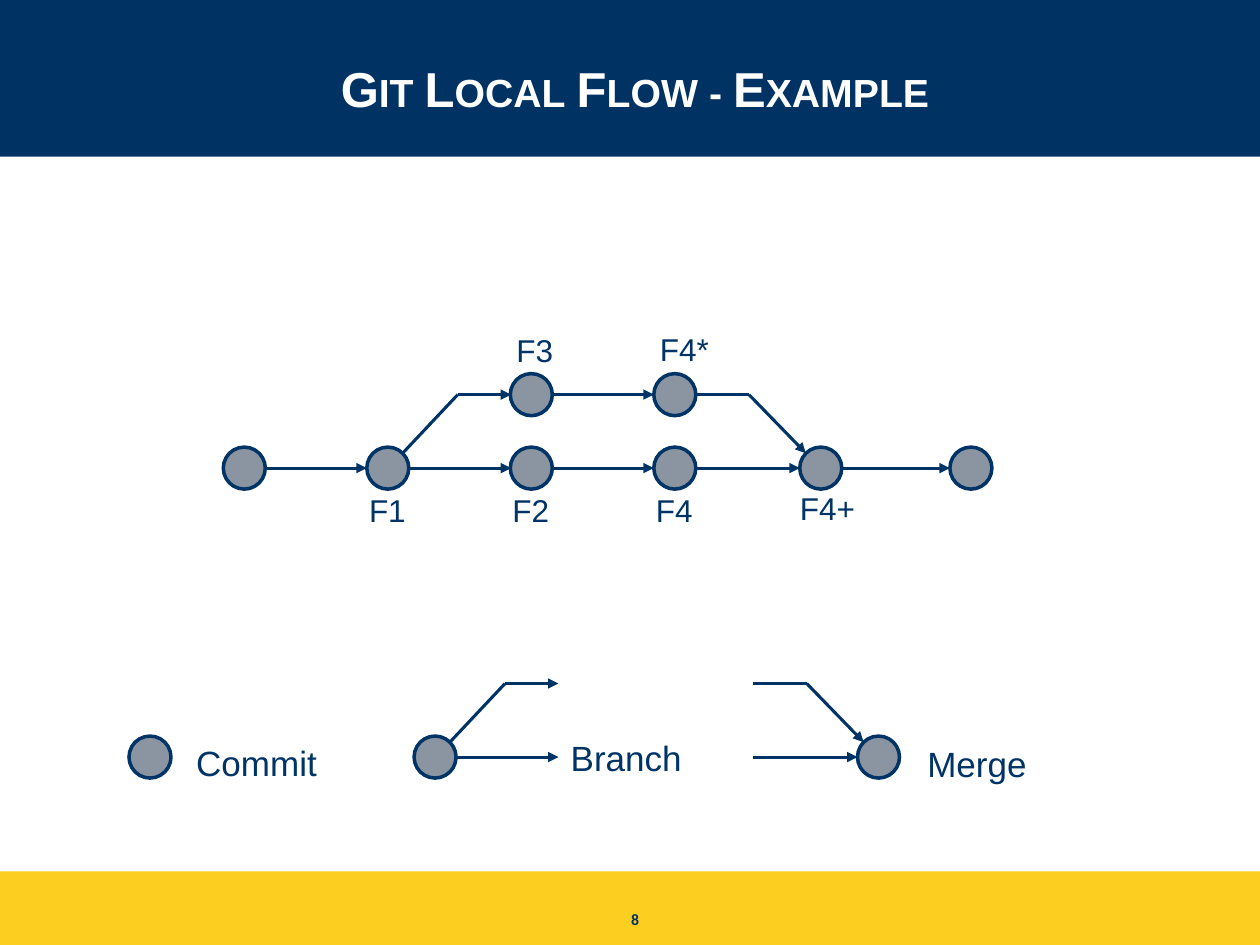
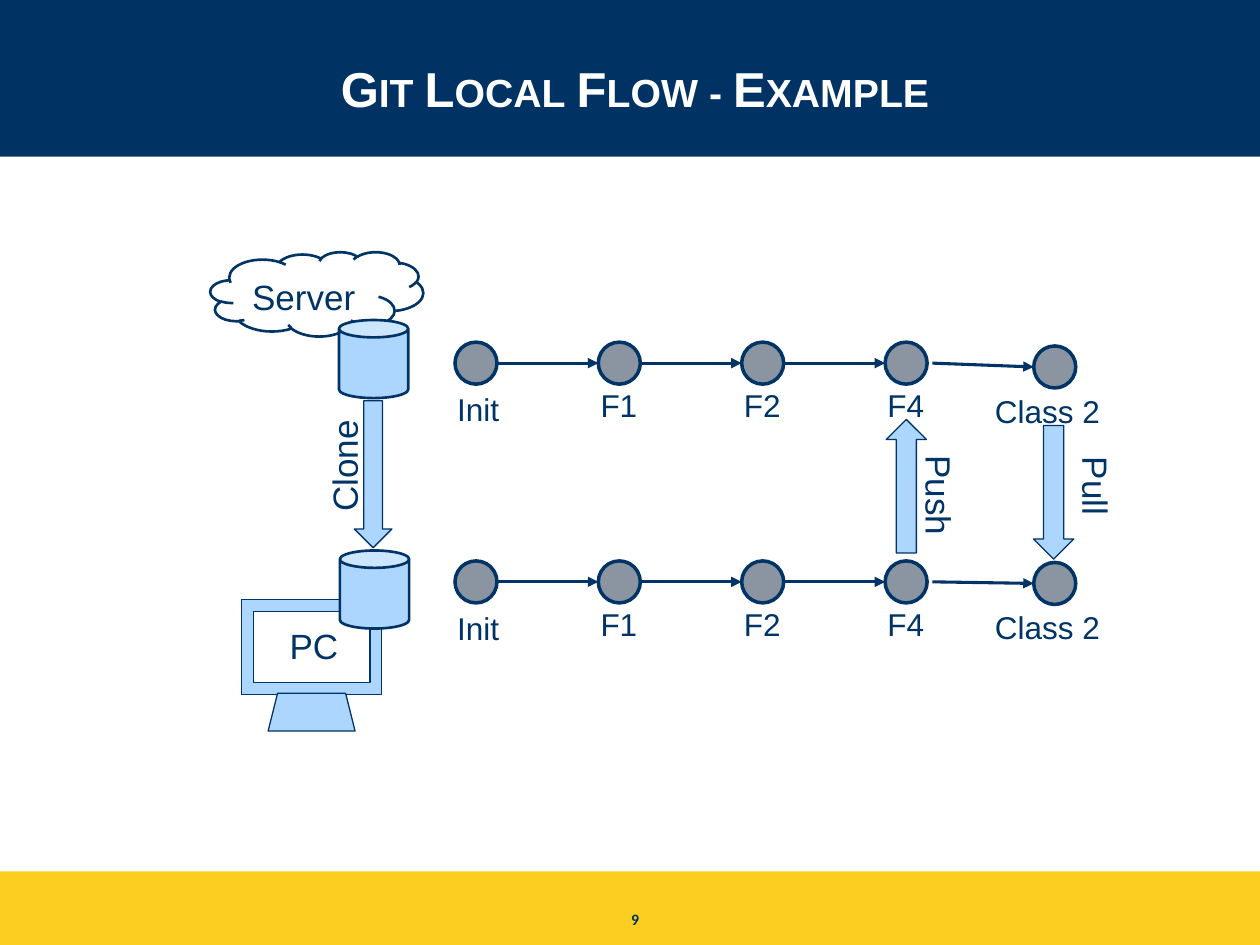
"""Build two slides on branching, cloning, pushing and pulling with Git."""
from dataclasses import dataclass
from itertools import pairwise

from lxml.etree import SubElement
from pptx import Presentation
from pptx.dml.color import RGBColor
from pptx.enum.shapes import MSO_CONNECTOR, MSO_SHAPE
from pptx.enum.text import MSO_ANCHOR, PP_ALIGN
from pptx.oxml.ns import qn
from pptx.shapes.autoshape import Shape
from pptx.slide import Slide
from pptx.text.text import _Run
from pptx.util import Pt

COLORS = {
    "header": "003264",
    "footer": "FBCE20",
    "title": "FFFFFF",
    "ink": "003366",
    "commit": "001933",
    "device": "ADD6FF",
}
RADIUS = 12
DIAGONAL = 8.5
BRANCH_RISE = 42
BEND = 40
REACH = 70.5


@dataclass(frozen=True)
class Box:
    left: float
    top: float
    width: float
    height: float


@dataclass(frozen=True)
class Label:
    text: str
    box: Box
    size: float = 20
    rotation: float = 0
    color: str = "ink"
    font: str = "Arial"
    bold: bool = False
    align: PP_ALIGN = PP_ALIGN.LEFT
    anchor: MSO_ANCHOR = MSO_ANCHOR.TOP


@dataclass(frozen=True)
class Commit:
    x: float
    y: float
    name: str = ""
    name_dx: float = -17.8
    name_dy: float = 9.8
    name_width: float = 36


@dataclass(frozen=True)
class Part:
    kind: MSO_SHAPE
    box: Box
    line_width: float = 0.75
    fill: str = "device"


def rgb(name: str) -> RGBColor:
    return RGBColor.from_string(COLORS[name])


def write(shape: Shape, label: Label) -> _Run:
    frame = shape.text_frame
    frame.word_wrap = True
    frame.vertical_anchor = label.anchor
    paragraph = frame.paragraphs[0]
    paragraph.alignment = label.align
    run = paragraph.add_run()
    run.text = label.text
    run.font.name = label.font
    run.font.size = Pt(label.size)
    run.font.bold = label.bold
    run.font.color.rgb = rgb(label.color)
    return run


def draw_label(slide: Slide, label: Label) -> _Run:
    box = label.box
    holder = slide.shapes.add_textbox(
        Pt(box.left), Pt(box.top), Pt(box.width), Pt(box.height))
    holder.rotation = label.rotation
    return write(holder, label)


def draw_part(slide: Slide, part: Part) -> Shape:
    box = part.box
    shape = slide.shapes.add_shape(
        part.kind, Pt(box.left), Pt(box.top), Pt(box.width), Pt(box.height))
    shape.shadow.inherit = False
    if part.fill:
        shape.fill.solid()
        shape.fill.fore_color.rgb = rgb(part.fill)
    else:
        shape.fill.background()
    if part.line_width:
        shape.line.color.rgb = rgb("ink")
        shape.line.width = Pt(part.line_width)
    else:
        shape.line.fill.background()
    return shape


def draw_commit(slide: Slide, commit: Commit) -> None:
    circle = draw_part(slide, Part(
        MSO_SHAPE.OVAL,
        Box(commit.x - RADIUS, commit.y - RADIUS, 2 * RADIUS, 2 * RADIUS),
        2, "commit"))
    color = circle.element.spPr.find(f"{qn('a:solidFill')}/{qn('a:srgbClr')}")
    SubElement(color, qn("a:alpha"), val="46000")
    if commit.name:
        draw_label(slide, Label(
            commit.name,
            Box(commit.x + commit.name_dx, commit.y + commit.name_dy,
                commit.name_width, 29), 18))


def draw_path(slide: Slide, *points: tuple[float, float]) -> None:
    legs = list(pairwise(points))
    for leg in legs:
        (x1, y1), (x2, y2) = leg
        line = slide.shapes.add_connector(
            MSO_CONNECTOR.STRAIGHT, Pt(x1), Pt(y1), Pt(x2), Pt(y2))
        line.line.color.rgb = rgb("ink")
        line.line.width = Pt(1.75)
        properties = line.element.spPr
        if leg == legs[-1]:
            SubElement(properties.find(qn("a:ln")), qn("a:tailEnd"), type="triangle")
        SubElement(properties, qn("a:effectLst"))


def draw_step(slide: Slide, start: Commit, end: Commit, gap: float = RADIUS) -> None:
    draw_path(slide, (start.x + gap, start.y), (end.x - RADIUS, end.y))


def draw_fork(slide: Slide, commit: Commit) -> None:
    x, y = commit.x, commit.y
    draw_path(slide, (x + RADIUS, y), (x + REACH, y))
    draw_path(slide, (x + DIAGONAL, y - DIAGONAL),
              (x + BEND, y - BRANCH_RISE), (x + REACH, y - BRANCH_RISE))


def draw_merge(slide: Slide, commit: Commit) -> None:
    x, y = commit.x, commit.y
    draw_path(slide, (x - REACH - 1, y), (x - RADIUS, y))
    draw_path(slide, (x - REACH - 1, y - BRANCH_RISE),
              (x - BEND - 1, y - BRANCH_RISE), (x - DIAGONAL, y - DIAGONAL))


def start_slide(deck: Presentation, title: str, number: int) -> Slide:
    slide = deck.slides.add_slide(deck.slide_layouts[6])
    for color, top, height in (("footer", 498, 42), ("header", 0, 89.5)):
        draw_part(slide, Part(MSO_SHAPE.RECTANGLE, Box(0, top, 720, height), 0, color))
    heading = draw_label(slide, Label(
        title, Box(36, 11.5, 654, 78), 28, color="title", bold=True,
        align=PP_ALIGN.CENTER, anchor=MSO_ANCHOR.MIDDLE))
    heading.font._element.set("cap", "small")
    draw_label(slide, Label(
        str(number), Box(288, 516.2, 150, 24), 9, color="header",
        font="Calibri", bold=True, align=PP_ALIGN.CENTER))
    return slide


def build_branching(slide: Slide) -> None:
    main_y = 267.5
    branch_y = main_y - BRANCH_RISE
    first, f1, f2, f4, merged, last = main = [
        Commit(139.6, main_y),
        Commit(221.6, main_y, "F1"),
        Commit(303.6, main_y, "F2"),
        Commit(385.6, main_y, "F4"),
        Commit(469, main_y, "F4+", -19, 8.3, 46.5),
        Commit(554.8, main_y),
    ]
    f3, f4_star = branch = [
        Commit(303.6, branch_y, "F3", -15.6, -39.8),
        Commit(385.6, branch_y, "F4*", -15.6, -40.2, 48),
    ]
    legend_y = 432.6
    legend_commit, legend_fork, legend_merge = legend = [
        Commit(x, legend_y) for x in (85.7, 248.6, 502)]
    for commit in main + branch + legend:
        draw_commit(slide, commit)
    for start, end in ((first, f1), (f2, f4), (merged, last), (f3, f4_star)):
        draw_step(slide, start, end)
    for commit in (f1, legend_fork):
        draw_fork(slide, commit)
    for commit in (merged, legend_merge):
        draw_merge(slide, commit)
    for meaning, left, top in (
            ("Commit", 105, 420), ("Branch", 319, 417.5), ("Merge", 522.8, 420.5)):
        draw_label(slide, Label(meaning, Box(left, top, 99.4, 31.5)))


def build_remote(slide: Slide) -> None:
    cloud = draw_part(slide, Part(
        MSO_SHAPE.CLOUD, Box(120.2, 144, 121.7, 48.2), 1.5, ""))
    write(cloud, Label("Server", Box(120.2, 144, 121.7, 48.2)))
    cloud.text_frame.margin_top = Pt(6)

    for part in (
            Part(MSO_SHAPE.CAN, Box(193.7, 182.9, 39.6, 44.6), 1.5),
            Part(MSO_SHAPE.FRAME, Box(138.2, 342.7, 80, 54)),
            Part(MSO_SHAPE.TRAPEZOID, Box(153.2, 396.2, 49.7, 21.6)),
            Part(MSO_SHAPE.CAN, Box(194.2, 314.6, 39.6, 44.6), 1.5),
            Part(MSO_SHAPE.DOWN_ARROW, Box(202.5, 229, 21.5, 84)),
            Part(MSO_SHAPE.UP_ARROW, Box(506.4, 239.7, 23, 76.3)),
            Part(MSO_SHAPE.DOWN_ARROW, Box(590.6, 243.2, 23, 76.3))):
        draw_part(slide, part)

    for label in (
            Label("PC", Box(158.4, 353.5, 43, 31.5)),
            Label("Clone", Box(162.7, 249.8, 68, 31.5), rotation=270),
            Label("Push", Box(506.2, 267.8, 61, 31.5), rotation=90),
            Label("Pull", Box(601.8, 262.8, 49, 31.5), rotation=90)):
        draw_label(slide, label)

    for row_y, drop in ((207.5, 2.2), (332.5, 0.9)):
        *shared, f4, latest = history = [
            Commit(272, row_y, "Init", name_dy=12, name_width=39),
            Commit(353.9, row_y, "F1"),
            Commit(435.8, row_y, "F2"),
            Commit(517.8, row_y, "F4"),
            Commit(602.7, row_y + drop, "Class 2", -41.2, 10.7, 76.3),
        ]
        for commit in history:
            draw_commit(slide, commit)
        for start, end in pairwise([*shared, f4]):
            draw_step(slide, start, end)
        draw_step(slide, f4, latest, 15)


def main() -> None:
    deck = Presentation()
    deck.slide_width, deck.slide_height = Pt(720), Pt(540)
    for number, build in enumerate((build_branching, build_remote), start=8):
        build(start_slide(deck, "Git Local Flow - Example", number))
    deck.save("out.pptx")


if __name__ == "__main__":
    main()
